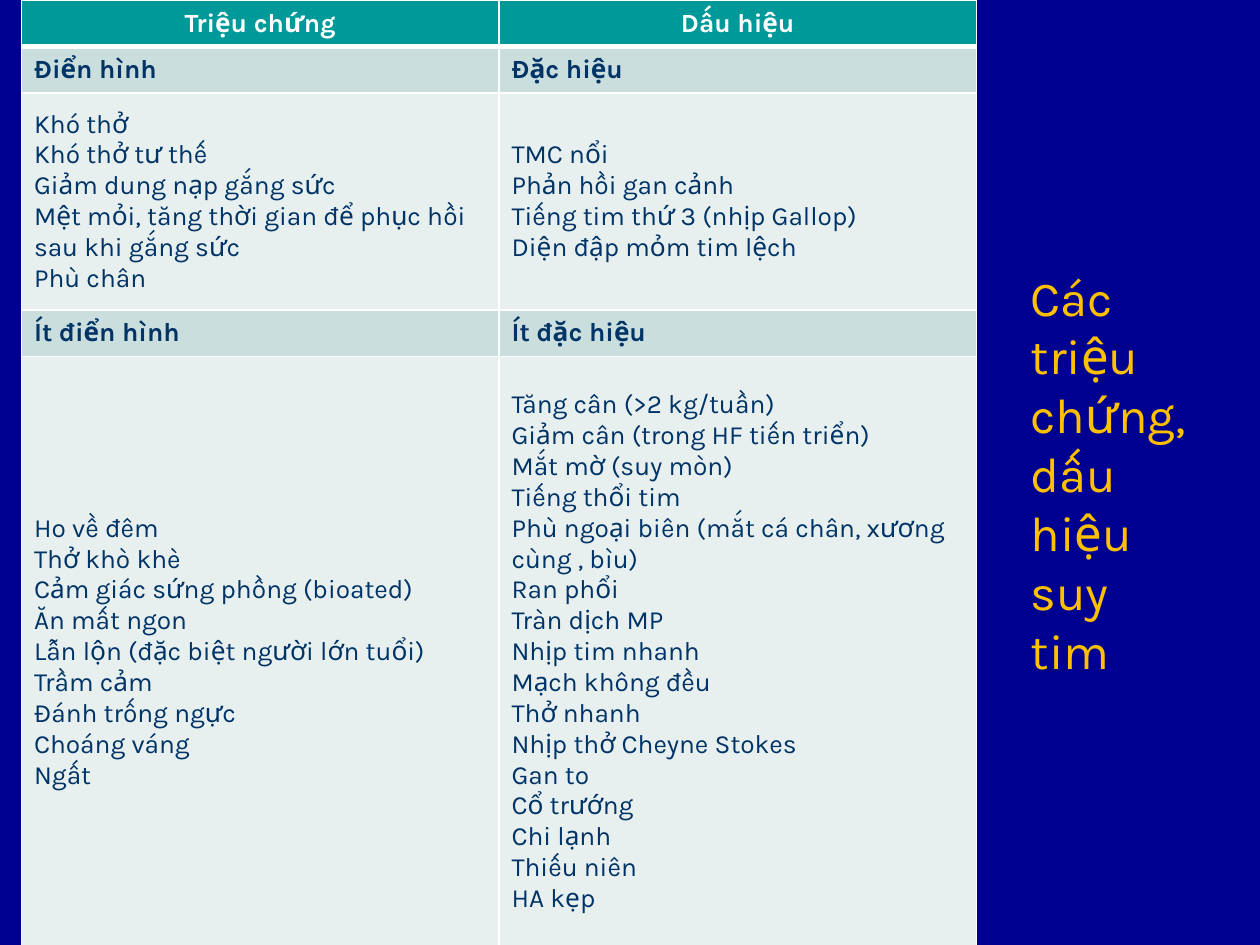
from pptx import Presentation
from pptx.dml.color import RGBColor
from pptx.enum.text import MSO_ANCHOR, MSO_AUTO_SIZE, PP_ALIGN
from pptx.oxml.ns import qn
from pptx.util import Inches, Pt
from lxml import etree

LEFT, CENTER = PP_ALIGN.LEFT, PP_ALIGN.CENTER
TOP, MIDDLE = MSO_ANCHOR.TOP, MSO_ANCHOR.MIDDLE
GROW = MSO_AUTO_SIZE.SHAPE_TO_FIT_TEXT
TITLE_ONLY = 5

COLORS = {
    "background": "000090",
    "title": "FFC000",
    "header": "009999",
    "section": "CBDEDE",
    "body": "E7EFEF",
    "ink": "003366",
    "white": "FFFFFF",
}

# Text format for each kind of row
ROW_STYLES = {
    "header": {"color": "white", "bold": True, "align": CENTER},
    "section": {"color": "ink", "bold": True, "align": LEFT},
    "body": {"color": "ink", "bold": False, "align": LEFT},
}

# Row kind, height, symptoms, signs
ROWS = [
    ("header", 0.37, ["Triệu chứng"], ["Dấu hiệu"]),
    ("section", 0.37, ["Điển hình"], ["Đặc hiệu"]),
    ("body", 1.72,
     ["Khó thở", "Khó thở tư thế", "Giảm dung nạp gắng sức",
      "Mệt mỏi, tăng thời gian để phục hồi sau khi gắng sức", "Phù chân"],
     ["TMC nổi", "Phản hồi gan cảnh", "Tiếng tim thứ 3 (nhịp Gallop)",
      "Diện đập mỏm tim lệch"]),
    ("section", 0.37, ["Ít điển hình"], ["Ít đặc hiệu"]),
    ("body", 4.69,
     ["Ho về đêm", "Thở khò khè", "Cảm giác sứng phồng (bioated)",
      "Ăn mất ngon", "Lẫn lộn (đặc biệt người lớn tuổi)", "Trầm cảm",
      "Đánh trống ngực", "Choáng váng", "Ngất"],
     ["Tăng cân (>2 kg/tuần)", "Giảm cân (trong HF tiến triển)",
      "Mắt mờ (suy mòn)", "Tiếng thổi tim",
      "Phù ngoại biên (mắt cá chân, xương cùng , bìu)", "Ran phổi",
      "Tràn dịch MP", "Nhịp tim nhanh", "Mạch không đều", "Thở nhanh",
      "Nhịp thở Cheyne Stokes", "Gan to", "Cổ trướng", "Chi lạnh",
      "Thiếu niên", "HA kẹp"]),
]


class SlideBuilder:
    font_name = "Karla"

    def __init__(self, presentation):
        layout = presentation.slide_layouts[TITLE_ONLY]
        self.slide = presentation.slides.add_slide(layout)

    def background(self, color):
        fill = self.slide.background.fill
        fill.solid()
        fill.fore_color.rgb = RGBColor.from_string(COLORS[color])

    def set_text(self, text_frame, lines, size, color, bold, align):
        text_frame.text = "\n".join(lines)
        values = {"name": self.font_name, "size": Pt(size), "bold": bold}
        for paragraph in text_frame.paragraphs:
            paragraph.alignment = align
            for run in paragraph.runs:
                for name, value in values.items():
                    setattr(run.font, name, value)
                run.font.color.rgb = RGBColor.from_string(COLORS[color])

    def title(self, text, left, top, width, height):
        shape = self.slide.shapes.title
        box = {"left": left, "top": top, "width": width, "height": height}
        for name, value in box.items():
            setattr(shape, name, Inches(value))
        frame = shape.text_frame
        self.set_text(frame, [text], 28, "title", False, LEFT)
        settings = {"word_wrap": True, "auto_size": GROW, "vertical_anchor": TOP}
        for name, value in settings.items():
            setattr(frame, name, value)

    def borders(self, cell, widths):
        properties = cell._tc.get_or_add_tcPr()
        for side, width in widths.items():
            line = etree.SubElement(properties, qn(f"a:ln{side}"), w=str(Pt(width)))
            fill = etree.SubElement(line, qn("a:solidFill"))
            etree.SubElement(fill, qn("a:srgbClr"), val=COLORS["white"])

    def table(self, rows, left, top, column_width):
        columns = 2
        height = sum(row[1] for row in rows)
        table = self.slide.shapes.add_table(
            len(rows), columns, Inches(left), Inches(top),
            Inches(column_width * columns), Inches(height)).table
        for column in table.columns:
            column.width = Inches(column_width)
        for index, (kind, row_height, *texts) in enumerate(rows):
            table.rows[index].height = Inches(row_height)
            # A thick rule separates the header from the rows below
            widths = {"L": 1, "R": 1, "T": 3 if index == 1 else 1,
                      "B": 3 if index == 0 else 1}
            for cell, lines in zip(table.rows[index].cells, texts):
                self.borders(cell, widths)
                cell.fill.solid()
                cell.fill.fore_color.rgb = RGBColor.from_string(COLORS[kind])
                cell.vertical_anchor = MIDDLE
                self.set_text(cell.text_frame, lines, 15, **ROW_STYLES[kind])


def main():
    presentation = Presentation()
    presentation.slide_width = Inches(10)
    presentation.slide_height = Inches(7.5)

    builder = SlideBuilder(presentation)
    builder.background("background")
    # Symptoms and signs
    builder.table(ROWS, 0.17, 0, 3.79)
    # Title at the right of the table
    builder.title("Các triệu chứng, dấu hiệu suy tim", 8.08, 2.07, 1.5, 2.93)

    presentation.save("out.pptx")


if __name__ == "__main__":
    main()
